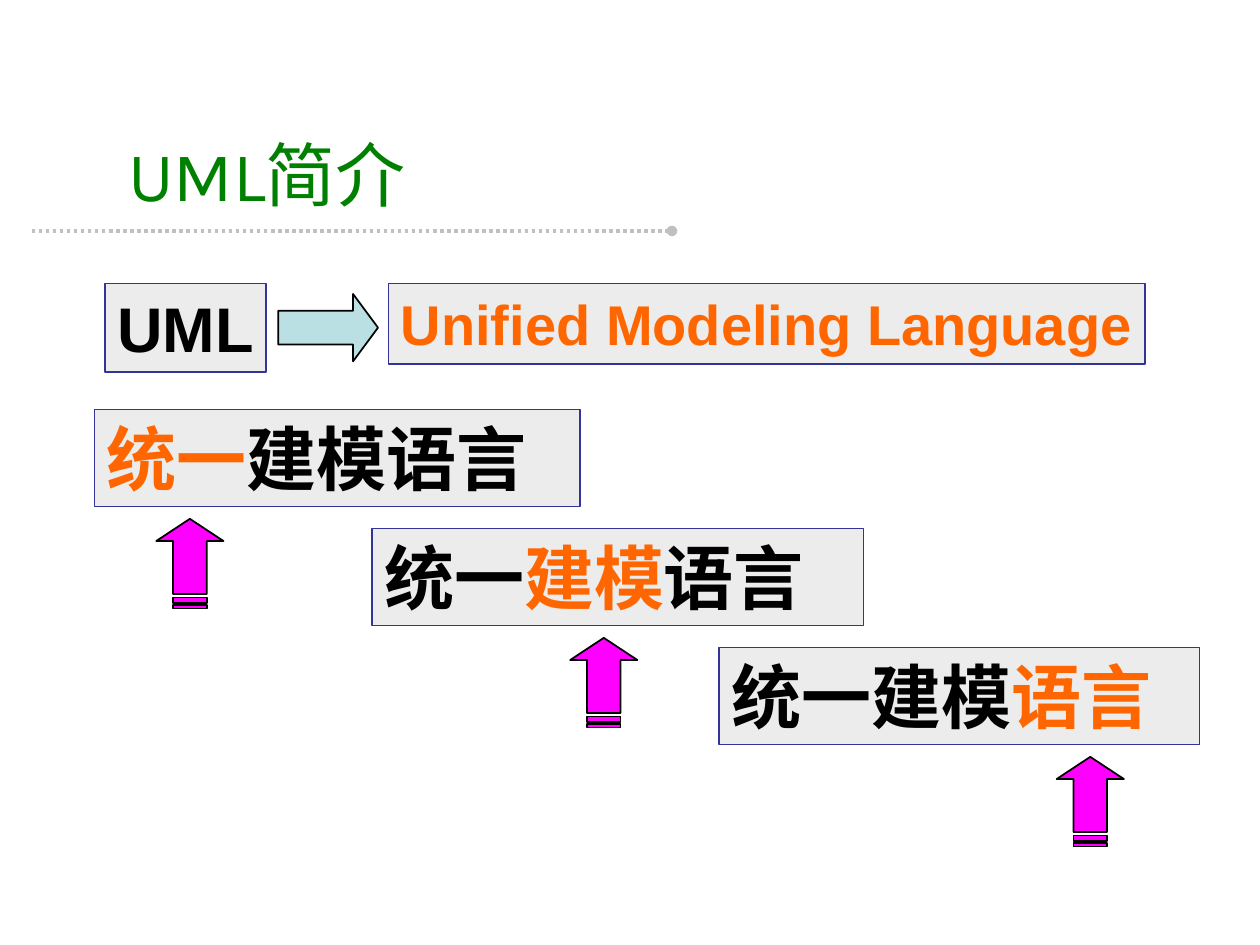
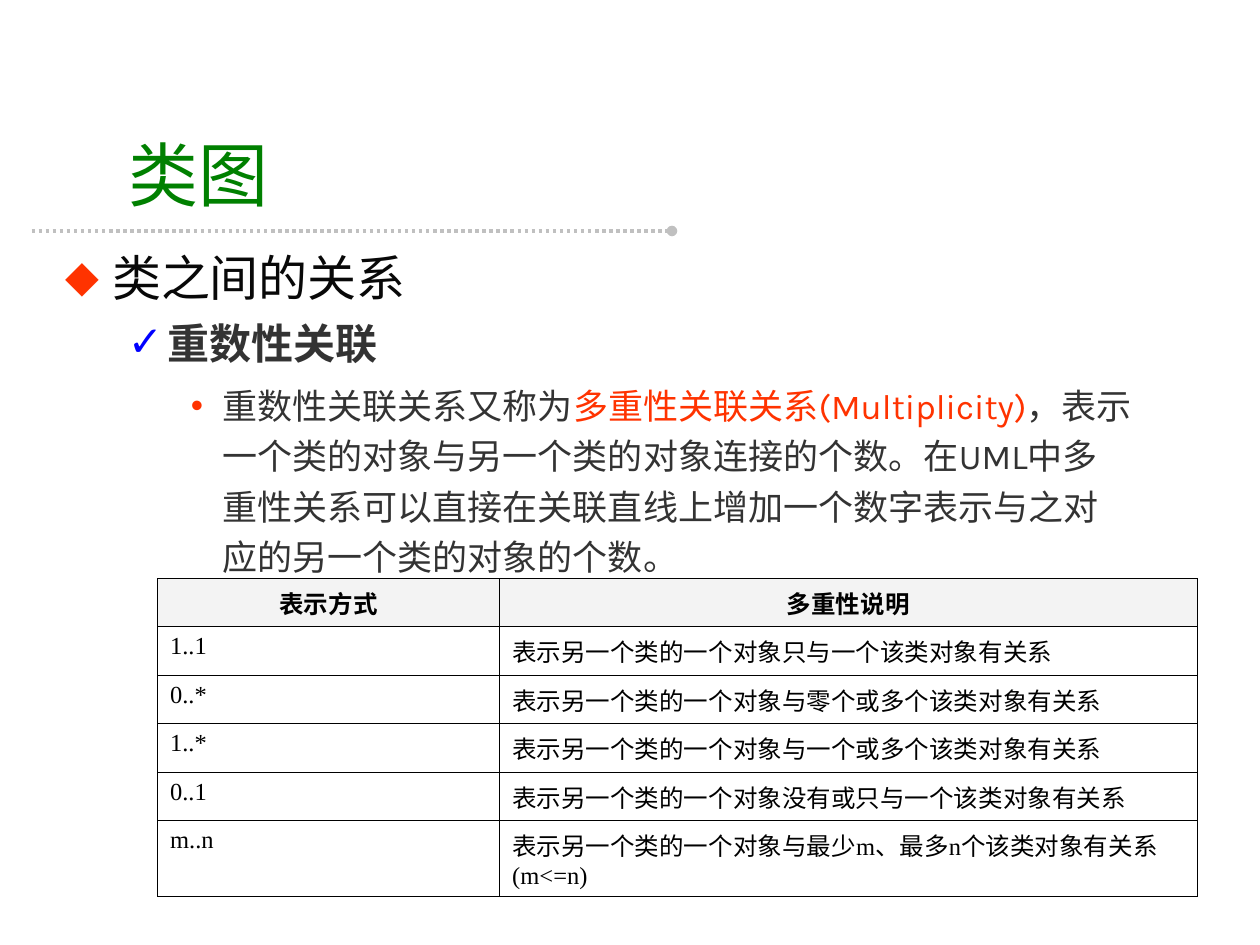
"""Builds two slides that introduce UML and multiplicity in class diagrams."""
import pptx
import pptx.util
import pptx.dml.color
import pptx.enum.dml
import pptx.enum.shapes
import pptx.enum.text
import pptx.oxml
import pptx.oxml.ns

Pt = pptx.util.Pt
SHAPES = pptx.enum.shapes.MSO_SHAPE
ALIGN = pptx.enum.text.PP_ALIGN
ANCHOR = pptx.enum.text.MSO_ANCHOR

GREEN, GREY, BLACK = "008000", "C0C0C0", "000000"
ORANGE, RED, INK = "FF6600", "FF3300", "333333"
BOX_FILL, BOX_LINE = "ECECEC", "333399"
BODY_FONT, BOX_FONT, TABLE_FONT = "Karla", "Arial", "Times New Roman"
BULLET_FONT = "Arial"

INTRO_TITLE = ("UML简介", 360)
ACRONYM = ("UML", 36, BLACK, (60, 162, 92, 50.5))
FULL_NAME = ("Unified Modeling Language", 32, ORANGE, (222, 162, 432.5, 46))
TERM_RIGHT_INSET = 3
MEANS_ARROW = (159, 168, 57, 38.5)

TRANSLATIONS = [
    ([("统一", ORANGE), ("建模语言", BLACK)], 54, 277.5, 108.5),
    ([("统一", BLACK), ("建模", ORANGE), ("语言", BLACK)], 212.5, 281, 345),
    ([("统一建模", BLACK), ("语言", ORANGE)], 411, 274.5, 623),
]
TRANSLATION_TOP, TRANSLATION_STEP, TRANSLATION_HEIGHT = 234, 68, 55.5
POINTER_DROP = 62.5
POINTER_HALF, SHAFT_HALF = 19.2, 9.6
POINTER_HEAD, POINTER_SHAFT = 12.7, 43
POINTER_STRIPES = [(45, 48), (49.2, 51.2)]

CLASS_TITLE = ("类图", 528)
OUTLINE_BOX = (30, 138, 624, 324)
OUTLINE = [
    dict(bullet="⬥", bullet_color=RED, indent=27, hang=27, before=0, spacing=1,
         size=28, bold=False, runs=[("类之间的关系", "080808")]),
    dict(bullet="✓", bullet_color="0000FF", indent=58.5, hang=22.5, before=6, spacing=1,
         size=24, bold=True, runs=[("重数性关联", INK)]),
    dict(bullet="•", bullet_color=RED, indent=90, hang=18, before=5, spacing=1.2,
         size=20, bold=False, runs=[
             ("重数性关联关系又称为", INK),
             ("多重性关联关系(Multiplicity)", RED),
             ("，表示一个类的对象与另一个类的对象连接的个数。在UML中多重性关系可以"
              "直接在关联直线上增加一个数字表示与之对应的另一个类的对象的个数。", INK)]),
]

MULTIPLICITY = [
    ("表示方式", "多重性说明"),
    ("1..1", "表示另一个类的一个对象只与一个该类对象有关系"),
    ("0..*", "表示另一个类的一个对象与零个或多个该类对象有关系"),
    ("1..*", "表示另一个类的一个对象与一个或多个该类对象有关系"),
    ("0..1", "表示另一个类的一个对象没有或只与一个该类对象有关系"),
    ("m..n", "表示另一个类的一个对象与最少m、最多n个该类对象有关系 (m<=n)"),
]
MULTIPLICITY_CORNER = (90, 330.5)
COLUMN_WIDTHS = (195.5, 398.5)
ROW_HEIGHTS = [27.7] * 5 + [43.3]


def rgb(color):
    return pptx.dml.color.RGBColor.from_string(color)


def points(values):
    return [Pt(value) for value in values]


def add_element(parent, tag, **attributes):
    element = parent.makeelement(pptx.oxml.ns.qn(tag), attributes)
    parent.append(element)
    return element


def add_run(paragraph, text, font_name, size, color, bold=False):
    run = paragraph.add_run()
    run.text = text
    run.font.name = font_name
    run.font.size = Pt(size)
    run.font.bold = bold
    run.font.color.rgb = rgb(color)


def paint(shape, fill, line):
    shape.shadow.inherit = False
    shape.fill.solid()
    shape.fill.fore_color.rgb = rgb(fill)
    shape.line.color.rgb = rgb(line)
    shape.line.width = Pt(1)


def add_rule(slide):
    rule = slide.shapes.add_connector(
        pptx.enum.shapes.MSO_CONNECTOR.STRAIGHT, *points((18, 132, 384, 132)))
    rule.line.color.rgb = rgb(GREY)
    rule.line.width = Pt(2)
    rule.line.dash_style = pptx.enum.dml.MSO_LINE.ROUND_DOT
    add_element(rule.line._get_or_add_ln(), "a:tailEnd", type="oval")
    add_element(rule._element.spPr, "a:effectLst")


def add_titled_slide(deck, title, width):
    slide = deck.slides.add_slide(deck.slide_layouts[6])
    add_rule(slide)
    heading = slide.shapes.add_textbox(*points((66.25, 72, width, 54))).text_frame
    heading.word_wrap = True
    heading.vertical_anchor = ANCHOR.MIDDLE
    add_run(heading.paragraphs[0], title, BODY_FONT, 40, GREEN)
    return slide


def add_term_box(slide, runs, size, place, wrap):
    box = slide.shapes.add_shape(SHAPES.RECTANGLE, *points(place))
    paint(box, BOX_FILL, BOX_LINE)
    frame = box.text_frame
    frame.word_wrap = wrap
    if not wrap:
        frame.margin_right = Pt(TERM_RIGHT_INSET)
    frame.vertical_anchor = ANCHOR.TOP
    frame.paragraphs[0].alignment = ALIGN.LEFT
    for text, color in runs:
        add_run(frame.paragraphs[0], text, BOX_FONT, size, color, bold=True)
    return frame


def add_pointer(slide, center, top):
    arrow = [(0, 0), (POINTER_HALF, POINTER_HEAD), (SHAFT_HALF, POINTER_HEAD),
             (SHAFT_HALF, POINTER_SHAFT), (-SHAFT_HALF, POINTER_SHAFT),
             (-SHAFT_HALF, POINTER_HEAD), (-POINTER_HALF, POINTER_HEAD)]
    stripes = [[(-SHAFT_HALF, upper), (SHAFT_HALF, upper),
                (SHAFT_HALF, lower), (-SHAFT_HALF, lower)]
               for upper, lower in POINTER_STRIPES]
    builder = slide.shapes.build_freeform(Pt(center), Pt(top))
    for outline in [arrow] + stripes:
        corners = [points((center + x, top + y)) for x, y in outline]
        if outline is not arrow:
            builder.move_to(*corners[0])
        builder.add_line_segments(corners[1:], close=True)
    paint(builder.convert_to_shape(), "FF00FF", BLACK)


def add_outline(slide):
    frame = slide.shapes.add_textbox(*points(OUTLINE_BOX)).text_frame
    frame.word_wrap = True
    for level, item in enumerate(OUTLINE):
        paragraph = frame.add_paragraph() if level else frame.paragraphs[0]
        paragraph.level = level
        properties = paragraph._p.get_or_add_pPr()
        properties.set("marL", str(Pt(item["indent"])))
        properties.set("indent", str(-Pt(item["hang"])))
        bullet_color = add_element(properties, "a:buClr")
        add_element(bullet_color, "a:srgbClr", val=item["bullet_color"])
        add_element(properties, "a:buFont", typeface=BULLET_FONT)
        add_element(properties, "a:buChar", char=item["bullet"])
        paragraph.line_spacing = float(item["spacing"])
        paragraph.space_before = Pt(item["before"])
        for text, color in item["runs"]:
            add_run(paragraph, text, BODY_FONT, item["size"], color, item["bold"])


def add_borders(cell):
    properties = cell._tc.get_or_add_tcPr()
    for position, side in enumerate(("a:lnL", "a:lnR", "a:lnT", "a:lnB")):
        border = add_element(properties, side, w=str(Pt(0.45)))
        add_element(add_element(border, "a:solidFill"), "a:srgbClr", val=BLACK)
        properties.insert(position, border)


def add_multiplicity_table(slide):
    table = slide.shapes.add_table(
        len(MULTIPLICITY), len(COLUMN_WIDTHS), *points(MULTIPLICITY_CORNER),
        Pt(sum(COLUMN_WIDTHS)), Pt(sum(ROW_HEIGHTS))).table
    table.first_row = table.horz_banding = False
    for column, width in zip(table.columns, COLUMN_WIDTHS):
        column.width = Pt(width)
    for number, (row, height, texts) in enumerate(zip(table.rows, ROW_HEIGHTS, MULTIPLICITY)):
        row.height = Pt(height)
        is_header = number == 0
        for cell, text in zip(row.cells, texts):
            if is_header:
                cell.fill.solid()
                cell.fill.fore_color.rgb = rgb("F3F3F3")
            else:
                cell.fill.background()
            add_borders(cell)
            paragraph = cell.text_frame.paragraphs[0]
            paragraph.alignment = ALIGN.CENTER if is_header else ALIGN.LEFT
            add_run(paragraph, text, TABLE_FONT, 14, BLACK, is_header)


def build_intro(deck):
    slide = add_titled_slide(deck, *INTRO_TITLE)
    for text, size, color, place in (ACRONYM, FULL_NAME):
        add_term_box(slide, [(text, color)], size, place, wrap=False)
    means = slide.shapes.add_shape(SHAPES.RIGHT_ARROW, *points(MEANS_ARROW))
    means.adjustments[1] = 0.37
    paint(means, "BBE0E3", BLACK)
    for number, (runs, left, width, pointer_center) in enumerate(TRANSLATIONS):
        top = TRANSLATION_TOP + number * TRANSLATION_STEP
        add_term_box(slide, runs, 40, (left, top, width, TRANSLATION_HEIGHT), wrap=True)
        add_pointer(slide, pointer_center, top + POINTER_DROP)


def build_class_diagram(deck):
    slide = add_titled_slide(deck, *CLASS_TITLE)
    add_outline(slide)
    add_multiplicity_table(slide)


def main():
    deck = pptx.Presentation()
    deck.slide_width, deck.slide_height = points((720, 540))
    build_intro(deck)
    build_class_diagram(deck)
    deck.save("out.pptx")


if __name__ == "__main__":
    main()
